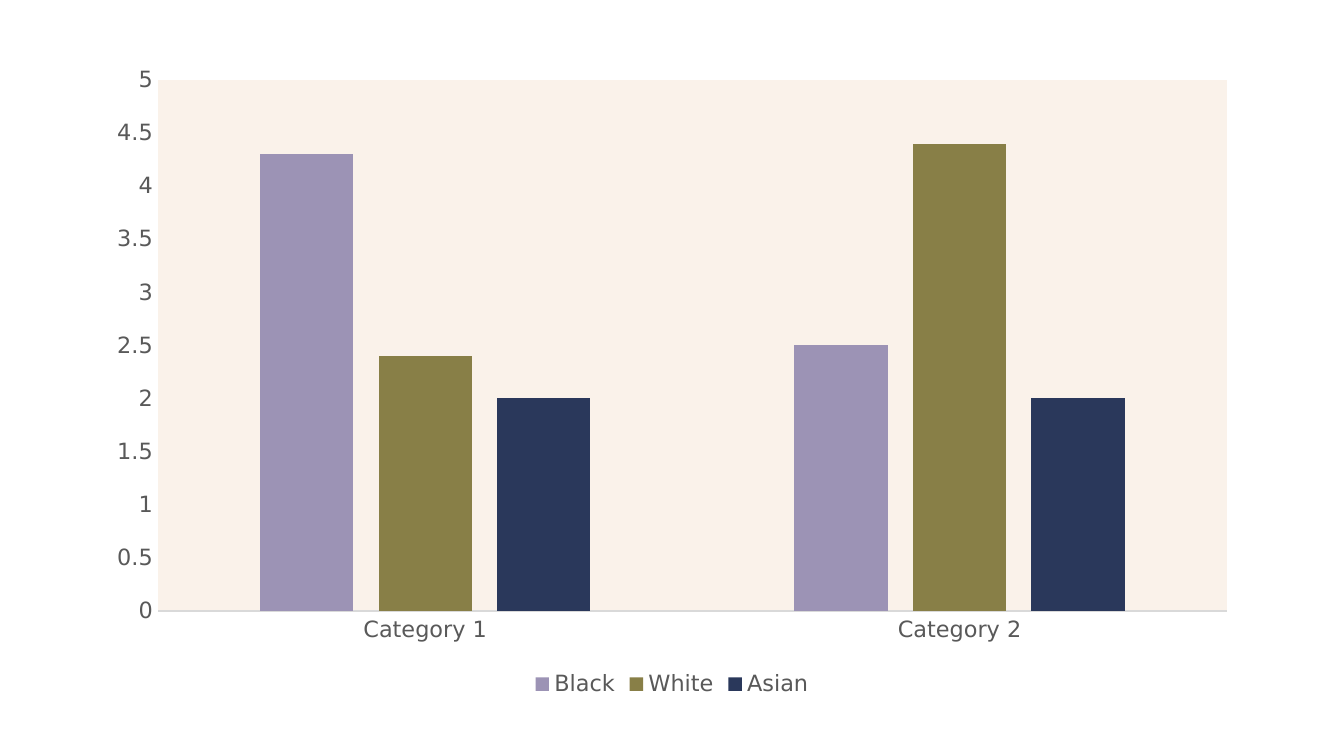
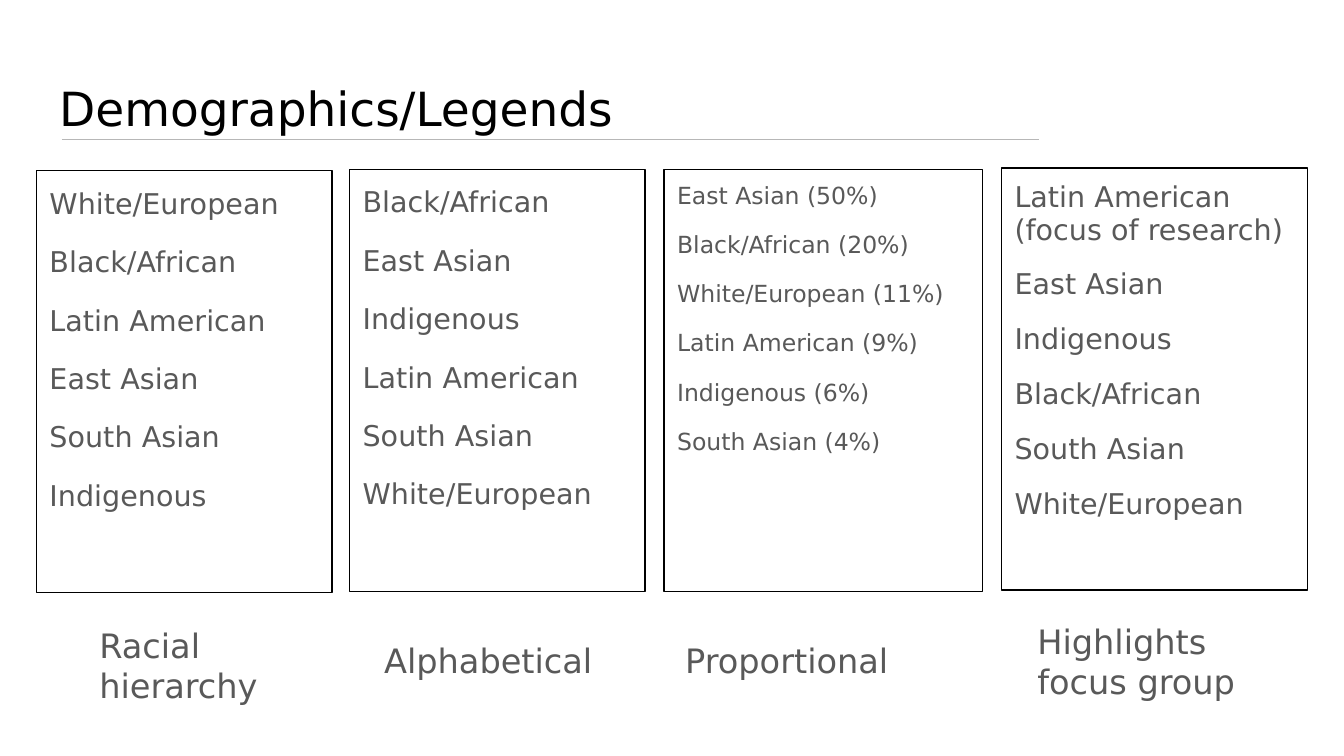
from lxml.etree import SubElement
from pptx import Presentation
from pptx.chart.data import CategoryChartData
from pptx.dml.color import RGBColor
from pptx.enum.chart import XL_CHART_TYPE, XL_LEGEND_POSITION, XL_TICK_MARK
from pptx.enum.shapes import MSO_CONNECTOR, MSO_SHAPE
from pptx.enum.text import MSO_ANCHOR, MSO_AUTO_SIZE, PP_ALIGN
from pptx.oxml.ns import qn
from pptx.util import Inches, Pt

# Shared style
PAGE_WIDTH = Inches(10)
PAGE_HEIGHT = PAGE_WIDTH * 9 // 16
FONT = "DejaVu Sans"
BLACK = "000000"
TEXT_GREY = "595959"
RULE_GREY = "B7B7B7"
AXIS_GREY = "D9D9D9"
PLOT_FILL = "FAF2EA"
TITLE_ONLY, BLANK = 5, 6

# Chart: name, values, colour
CATEGORIES = ["Category 1", "Category 2"]
SERIES = [
    ("Black", (4.3, 2.5), "9C93B5"),
    ("White", (2.4, 4.4), "887F47"),
    ("Asian", (2, 2), "2A385B"),
]

# Legend orders: box (left, top, width), text size, line spacing, entries
BOX_HEIGHT = 3.14
LEGENDS = [
    ((0.27, 1.27, 2.2), 15.3, 1.05,
     ["White/European", "Black/African", "Latin American",
      "East Asian", "South Asian", "Indigenous"]),
    ((2.6, 1.26, 2.2), 15.3, 1.05,
     ["Black/African", "East Asian", "Indigenous",
      "Latin American", "South Asian", "White/European"]),
    ((4.94, 1.26, 2.37), 12.6, 0.95,
     ["East Asian (50%)", "Black/African (20%)", "White/European (11%)",
      "Latin American (9%)", "Indigenous (6%)", "South Asian (4%)"]),
    ((7.45, 1.25, 2.28), 15.3, 0.95,
     ["Latin American (focus of research)", "East Asian", "Indigenous",
      "Black/African", "South Asian", "White/European"]),
]

# Captions: text, left, top, width
CAPTIONS = [
    ("Racial hierarchy", 0.64, 4.55, 1.91),
    ("Alphabetical", 2.76, 4.66, 2.04),
    ("Proportional", 5, 4.66, 2.04),
    ("Highlights focus group", 7.62, 4.52, 2.03),
]


def rgb(value):
    return RGBColor.from_string(value)


def style_font(font, size, color):
    font.name = FONT
    font.size = Pt(size)
    font.color.rgb = rgb(color)


def fill_solid(fill, color):
    fill.solid()
    fill.fore_color.rgb = rgb(color)


def write_text(shape, lines, size, color, spacing=1.0, gap=0,
               anchor=MSO_ANCHOR.TOP):
    """Write one left-aligned paragraph per line, with gap points between."""
    frame = shape.text_frame
    frame.word_wrap = True
    frame.auto_size = MSO_AUTO_SIZE.NONE
    frame.vertical_anchor = anchor
    frame.margin_left = frame.margin_right = Inches(0.1)
    frame.margin_top = frame.margin_bottom = Inches(0.1)
    for index, line in enumerate(lines):
        para = frame.paragraphs[0] if index == 0 else frame.add_paragraph()
        para.alignment = PP_ALIGN.LEFT
        para.line_spacing = spacing
        para.space_before = Pt(gap if index else 0)
        span = para.add_run()
        span.text = line
        style_font(span.font, size, color)


def add_title(page, text):
    title = page.shapes.title
    title.left, title.top = Inches(0.34), Inches(0.49)
    title.width, title.height = Inches(9.32), Inches(0.63)
    write_text(title, [text], 25.2, BLACK, anchor=MSO_ANCHOR.MIDDLE)


def add_rule(page, left, right, top):
    rule = page.shapes.add_connector(
        MSO_CONNECTOR.STRAIGHT,
        Inches(left), Inches(top), Inches(right), Inches(top))
    rule.line.color.rgb = rgb(RULE_GREY)
    rule.line.width = Pt(0.75)
    SubElement(rule._element.spPr, qn("a:effectLst"))


def add_legend_box(page, place, size, spacing, entries):
    left, top, width = place
    box = page.shapes.add_shape(
        MSO_SHAPE.RECTANGLE,
        Inches(left), Inches(top), Inches(width), Inches(BOX_HEIGHT))
    box.shadow.inherit = False
    box.fill.background()
    box.line.color.rgb = rgb(BLACK)
    box.line.width = Pt(0.75)
    write_text(box, entries, size, TEXT_GREY, spacing, gap=12)


def add_caption(page, text, left, top, width):
    box = page.shapes.add_textbox(
        Inches(left), Inches(top), Inches(width), Inches(0.45))
    write_text(box, [text], 18, TEXT_GREY)


def style_axis(axis):
    axis.has_major_gridlines = False
    axis.major_tick_mark = axis.minor_tick_mark = XL_TICK_MARK.NONE
    style_font(axis.tick_labels.font, 12, TEXT_GREY)


def fill_plot_area(chart, color):
    """Give the plot area a solid background."""
    plot_area = chart._chartSpace.chart.plotArea
    properties = SubElement(plot_area, qn("c:spPr"))
    solid = SubElement(properties, qn("a:solidFill"))
    SubElement(solid, qn("a:srgbClr")).set("val", color)


def add_column_chart(page):
    data = CategoryChartData()
    data.categories = CATEGORIES
    for name, values, _ in SERIES:
        data.add_series(name, values)
    chart = page.shapes.add_chart(
        XL_CHART_TYPE.COLUMN_CLUSTERED,
        Inches(0.7), Inches(0.4), Inches(8.6), Inches(4.83), data).chart
    chart.has_title = False
    style_font(chart.font, 10, BLACK)

    # Columns
    plot = chart.plots[0]
    plot.vary_by_categories = False
    plot.gap_width, plot.overlap = 219, -27
    for series, (_, _, color) in zip(plot.series, SERIES):
        fill_solid(series.format.fill, color)

    # Axes
    style_axis(chart.category_axis)
    category_line = chart.category_axis.format.line
    category_line.color.rgb = rgb(AXIS_GREY)
    category_line.width = Pt(0.75)
    style_axis(chart.value_axis)
    chart.value_axis.format.line.fill.background()
    chart.value_axis.minimum_scale = 0
    chart.value_axis.maximum_scale = 5
    chart.value_axis.major_unit = 0.5

    # Legend and background
    chart.has_legend = True
    chart.legend.position = XL_LEGEND_POSITION.BOTTOM
    chart.legend.include_in_layout = False
    style_font(chart.legend.font, 12, TEXT_GREY)
    fill_plot_area(chart, PLOT_FILL)


def build_chart_page(deck):
    page = deck.slides.add_slide(deck.slide_layouts[BLANK])
    add_column_chart(page)


def build_legends_page(deck):
    page = deck.slides.add_slide(deck.slide_layouts[TITLE_ONLY])
    add_title(page, "Demographics/Legends")
    for legend in LEGENDS:
        add_legend_box(page, *legend)
    for caption in CAPTIONS:
        add_caption(page, *caption)
    add_rule(page, 0.46, 7.73, 1.04)


def main():
    deck = Presentation()
    deck.slide_width, deck.slide_height = PAGE_WIDTH, PAGE_HEIGHT
    build_chart_page(deck)
    build_legends_page(deck)
    deck.save("out.pptx")


if __name__ == "__main__":
    main()
